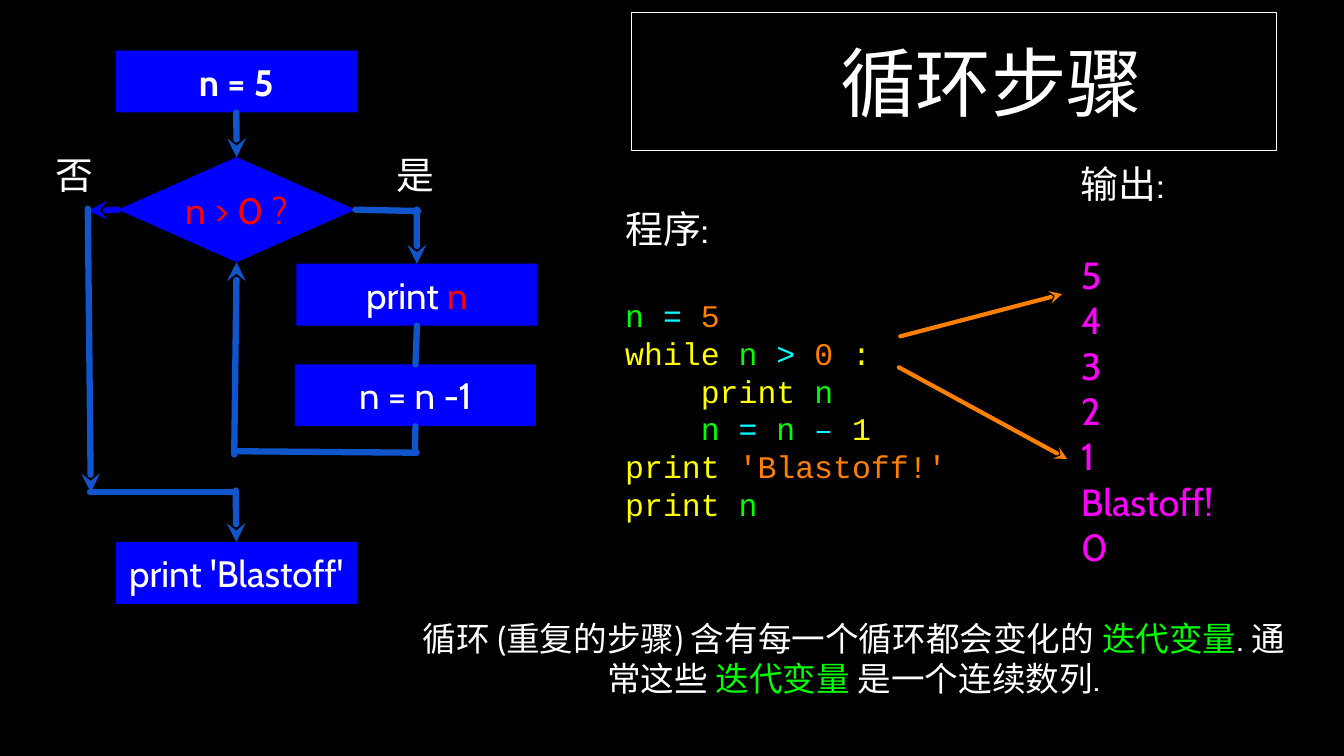
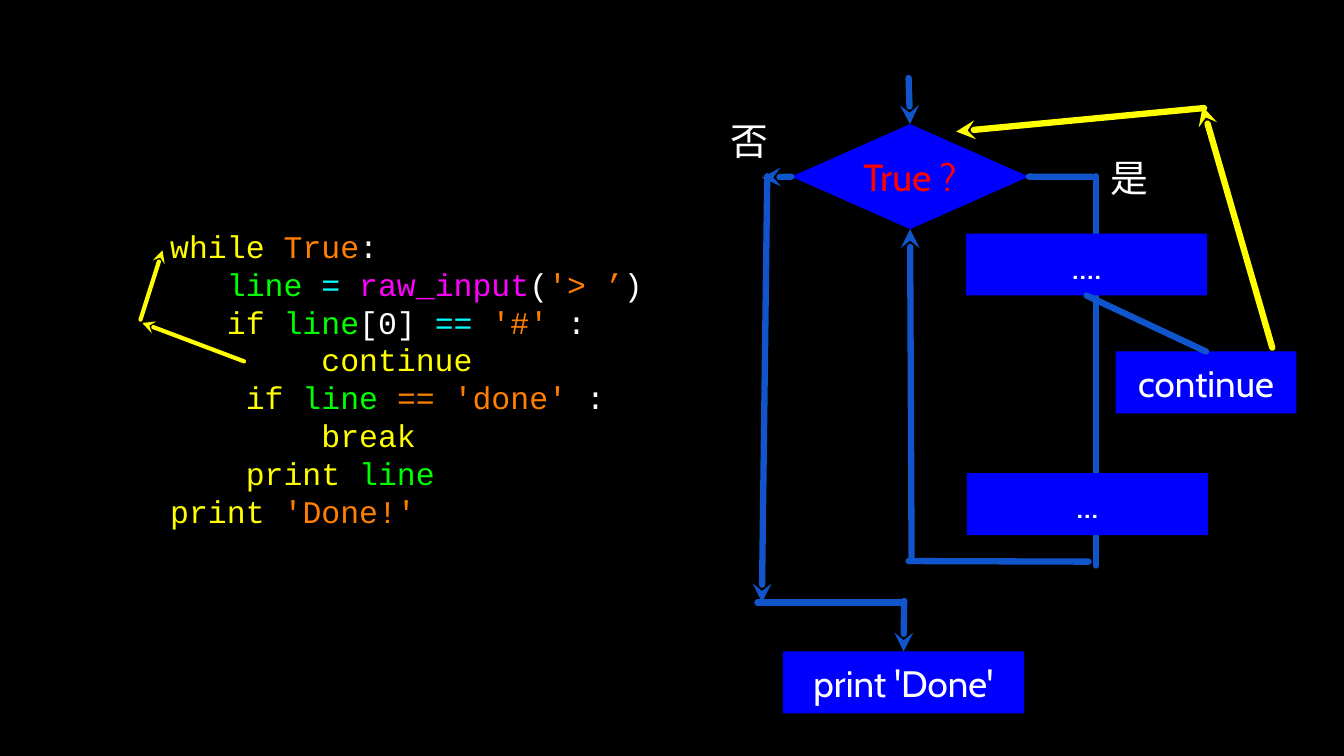
import pptx
import pptx.dml.color
import pptx.enum.shapes
import pptx.enum.text
import pptx.oxml.ns
import pptx.util
import lxml.etree

Cm = pptx.util.Cm
Pt = pptx.util.Pt
SHAPE = pptx.enum.shapes.MSO_SHAPE
ALIGN = pptx.enum.text.PP_ALIGN

BLACK, WHITE, RED = "000000", "FFFFFF", "FF0000"
BLUE, FLOW = "0000FF", "1155CC"
GREEN, CYAN, ORANGE = "00FF00", "00FFFF", "FF7F00"
YELLOW, MAGENTA = "FFFF00", "FF00FF"

TOP, LEFT, BOTTOM, RIGHT = range(4)
BOX_SIZE = (8.1, 2.08)
DIAMOND_SIZE = (7.98, 3.53)
LABEL_SIZE = (2.01, 1.73)
CODE_FONT = {"name": "Courier New", "size": Pt(30)}
HEADING_FONT = {"name": "Cabin", "size": Pt(36)}
BOX_FONT = {"name": "Cabin", "size": Pt(35)}
TITLE_FONT = {"name": "Cabin", "size": Pt(72)}
SUMMARY_FONT = {"name": "Cabin", "size": Pt(32)}
CODE_CHARACTER = Pt(18)
LINE_FACTOR = 1.2


def rgb(value):
    return pptx.dml.color.RGBColor.from_string(value)


def apply(target, values):
    for name, value in values.items():
        setattr(target, name, value)


def add_xml(parent, tag, **attributes):
    element = lxml.etree.SubElement(parent, pptx.oxml.ns.qn(tag))
    for name, value in attributes.items():
        element.set(name, value)


class SlideBuilder:
    def __init__(self, deck):
        self.deck = deck
        self.page = None
        background = deck.slide_master.background.fill
        background.solid()
        background.fore_color.rgb = rgb(BLACK)

    def new_page(self, layout):
        self.page = self.deck.slides.add_slide(self.deck.slide_layouts[layout])

    def place(self, shape, position, size):
        values = zip(("left", "top", "width", "height"), position + size)
        apply(shape, {name: Cm(value) for name, value in values})

    def frame(self, shape, inset=0):
        frame = shape.text_frame
        apply(frame, {
            "word_wrap": True,
            "auto_size": pptx.enum.text.MSO_AUTO_SIZE.NONE,
            "vertical_anchor": pptx.enum.text.MSO_ANCHOR.MIDDLE,
            "margin_left": inset, "margin_top": 0,
            "margin_right": 0, "margin_bottom": 0,
        })
        return frame

    def paragraph(self, frame, runs, font, align=ALIGN.CENTER, indent=0, **formats):
        first = frame.paragraphs[0]
        para = first if not first.runs else frame.add_paragraph()
        apply(para, {"alignment": align, "space_before": Pt(0), **formats})
        properties = para._p.get_or_add_pPr()
        properties.set("marL", str(int(indent)))
        properties.set("indent", "0")
        add_xml(properties, "a:buNone")
        for text, color in runs:
            span = para.add_run()
            span.text = text
            apply(span.font, font)
            span.font.color.rgb = rgb(color)

    def title(self, text, position, size):
        title = self.page.shapes.title
        self.place(title, position, size)
        title.line.color.rgb = rgb(WHITE)
        title.line.width = Pt(0.75)
        frame = self.frame(title, inset=Cm(2.5))
        self.paragraph(frame, [(text, WHITE)], TITLE_FONT)

    def output(self, heading, items, position, size):
        body = self.page.placeholders[1]
        self.place(body, position, size)
        frame = self.frame(body)
        pitch = HEADING_FONT["size"].pt * LINE_FACTOR
        formats = {"align": ALIGN.LEFT, "line_spacing": Pt(pitch)}
        self.paragraph(frame, [(heading, WHITE)], HEADING_FONT, **formats)
        for number, item in enumerate(items):
            gap = Pt(pitch if number == 0 else 0)
            self.paragraph(frame, [(item, MAGENTA)], HEADING_FONT,
                           space_before=gap, **formats)

    def text_frame(self, position, size):
        return self.frame(self.page.shapes.add_textbox(
            *map(Cm, position + size)))

    def label(self, text, position):
        frame = self.text_frame(position, LABEL_SIZE)
        self.paragraph(frame, [(text, WHITE)], HEADING_FONT)

    def summary(self, runs, position, size):
        self.paragraph(self.text_frame(position, size), runs, SUMMARY_FONT,
                       line_spacing=Pt(SUMMARY_FONT["size"].pt * LINE_FACTOR))

    def code(self, lines, position, size, heading=None):
        frame = self.text_frame(position, size)
        gap = 0
        if heading:
            gap = HEADING_FONT["size"].pt * LINE_FACTOR
            self.paragraph(frame, [(heading, WHITE)], HEADING_FONT,
                           ALIGN.LEFT, line_spacing=Pt(gap))
        pitch = Pt(CODE_FONT["size"].pt * LINE_FACTOR)
        for number, (depth, runs) in enumerate(lines):
            self.paragraph(frame, runs, CODE_FONT, ALIGN.LEFT,
                           depth * CODE_CHARACTER, line_spacing=pitch,
                           space_before=Pt(gap if number == 0 else 0))

    def node(self, runs, position, size=BOX_SIZE, kind=SHAPE.RECTANGLE, font=BOX_FONT):
        node = self.page.shapes.add_shape(kind, *map(Cm, position + size))
        node.shadow.inherit = False
        node.fill.solid()
        node.fill.fore_color.rgb = rgb(BLUE)
        node.line.fill.background()
        self.paragraph(self.frame(node), runs, font)
        return node

    def diamond(self, text, position, font):
        return self.node([(text, RED)], position, DIAMOND_SIZE, SHAPE.DIAMOND, font)

    def line(self, start, end, color=FLOW, width=6, arrow=False):
        joins = [type(point[0]) not in (int, float) for point in (start, end)]
        points = [(0, 0) if joined else point
                  for point, joined in zip((start, end), joins)]
        line = self.page.shapes.add_connector(
            pptx.enum.shapes.MSO_CONNECTOR.STRAIGHT,
            *map(Cm, points[0] + points[1]))
        if joins[0]:
            line.begin_connect(*start)
        if joins[1]:
            line.end_connect(*end)
        line.line.color.rgb = rgb(color)
        line.line.width = Pt(width)
        outline = line.line._get_or_add_ln()
        outline.set("cap", "rnd")
        add_xml(outline, "a:round")
        if arrow:
            add_xml(outline, "a:tailEnd", type="stealth")
        add_xml(line._element.spPr, "a:effectLst")

    def arrow(self, start, end, color=FLOW, width=6):
        self.line(start, end, color, width, arrow=True)


def loop_steps(builder):
    builder.new_page(1)
    builder.title("循环步骤", (21.21, 0.43), (21.69, 4.62))
    builder.output("输出:", ["5", "4", "3", "2", "1", "Blastoff!", "0"],
                   (36.32, 5.61), (4.8, 13.31))
    builder.code([
        (0, [("n ", GREEN), ("= ", CYAN), ("5", ORANGE)]),
        (0, [("while ", YELLOW), ("n ", GREEN), ("> ", CYAN),
             ("0", ORANGE), (" :", YELLOW)]),
        (4, [("print ", YELLOW), ("n", GREEN)]),
        (4, [("n ", GREEN), ("= ", CYAN), ("n ", GREEN),
             ("–", CYAN), (" 1", YELLOW)]),
        (0, [("print ", YELLOW), ("'Blastoff!'", ORANGE)]),
        (0, [("print ", YELLOW), ("n", GREEN)]),
    ], (21.01, 6.07), (11.4, 12.32), heading="程序:")
    builder.summary([
        ("循环 (重复的步骤) 含有每一个循环都会变化的 ", WHITE),
        ("迭代变量", GREEN), (". 通常这些 ", WHITE),
        ("迭代变量 ", GREEN), ("是一个连续数列.", WHITE),
    ], (13.94, 19.79), (29.49, 4.62))

    test = builder.diamond("n > 0 ?", (3.96, 5.28), BOX_FONT)
    start = builder.node([("n = 5", WHITE)], (3.89, 1.7),
                         font={**BOX_FONT, "bold": True})
    show = builder.node([("print ", WHITE), ("n", RED)], (9.96, 8.86))
    decrease = builder.node([("n = n -1", WHITE)], (9.91, 12.24))
    finish = builder.node([("print 'Blastoff'", WHITE)], (3.89, 18.21))
    builder.label("否", (1.5, 4.98))
    builder.label("是", (12.95, 4.98))

    builder.arrow((start, BOTTOM), (test, TOP))
    builder.line((test, RIGHT), (14.05, 7.09))
    builder.arrow((14.0, 7.04), (show, TOP))
    builder.line((show, BOTTOM), (decrease, TOP))
    builder.line((decrease, BOTTOM), (13.94, 15.16))
    builder.line((14.0, 15.21), (7.92, 15.16))
    builder.arrow((7.87, 15.27), (test, BOTTOM))
    builder.arrow((test, LEFT), (2.97, 7.09), BLUE)
    builder.arrow((2.95, 7.01), (3.05, 16.54))
    builder.line((3.02, 16.54), (7.87, 16.54))
    builder.arrow((7.92, 16.48), (finish, TOP))
    builder.arrow((30.25, 11.3), (35.69, 9.88), ORANGE, 4)
    builder.arrow((30.2, 12.34), (35.86, 15.42), ORANGE, 4)


def continue_loop(builder):
    builder.new_page(6)
    builder.code([
        (0, [("while ", YELLOW), ("True", ORANGE), (":", WHITE)]),
        (3, [("line ", GREEN), ("= ", CYAN), ("raw_input", MAGENTA),
             ("(", WHITE), ("'> ’", ORANGE), (")", WHITE)]),
        (3, [("if", YELLOW), (" line", GREEN), ("[0] ", WHITE),
             ("== ", CYAN), ("'#' ", ORANGE), (":", WHITE)]),
        (8, [("continue", YELLOW)]),
        (4, [("if ", YELLOW), ("line ", GREEN), ("== 'done' ", ORANGE),
             (":", WHITE)]),
        (8, [("break", YELLOW)]),
        (4, [("print ", YELLOW), ("line", GREEN)]),
        (0, [("print ", YELLOW), ("'Done!'", ORANGE)]),
    ], (5.72, 6.55), (17.48, 12.32))
    builder.arrow((4.72, 10.74), (5.46, 8.41), YELLOW, 4)
    builder.arrow((8.2, 12.14), (4.78, 10.85), YELLOW, 4)

    builder.line((36.83, 19.0), (36.83, 5.92))
    test = builder.diamond("True ?", (26.59, 4.17), HEADING_FONT)
    first_step = builder.node([("....", WHITE)], (32.46, 7.85))
    builder.node([("...", WHITE)], (32.49, 15.9))
    skip = builder.node([("continue", WHITE)], (37.49, 11.81), (6.07, 2.08))
    finish = builder.node([("print 'Done'", WHITE)], (26.31, 21.89))
    builder.label("否", (24.16, 3.84))
    builder.label("是", (36.93, 5.08))

    builder.arrow((30.53, 2.62), (test, TOP))
    builder.line((test, RIGHT), (36.7, 5.94))
    builder.line((first_step, BOTTOM), (skip, TOP))
    builder.arrow((42.75, 11.68), (40.41, 3.58), YELLOW)
    builder.arrow((40.46, 3.63), (32.13, 4.42), YELLOW)
    builder.line((36.58, 18.87), (30.53, 18.85))
    builder.arrow((30.63, 18.72), (test, BOTTOM))
    builder.arrow((test, LEFT), (25.6, 5.97))
    builder.arrow((25.78, 5.92), (25.6, 20.24))
    builder.line((25.45, 20.24), (30.33, 20.24))
    builder.arrow((30.38, 20.19), (finish, TOP))


def main():
    deck = pptx.Presentation()
    apply(deck, {"slide_width": Cm(45.16), "slide_height": Cm(25.4)})
    builder = SlideBuilder(deck)
    loop_steps(builder)
    continue_loop(builder)
    deck.save("out.pptx")


if __name__ == "__main__":
    main()
